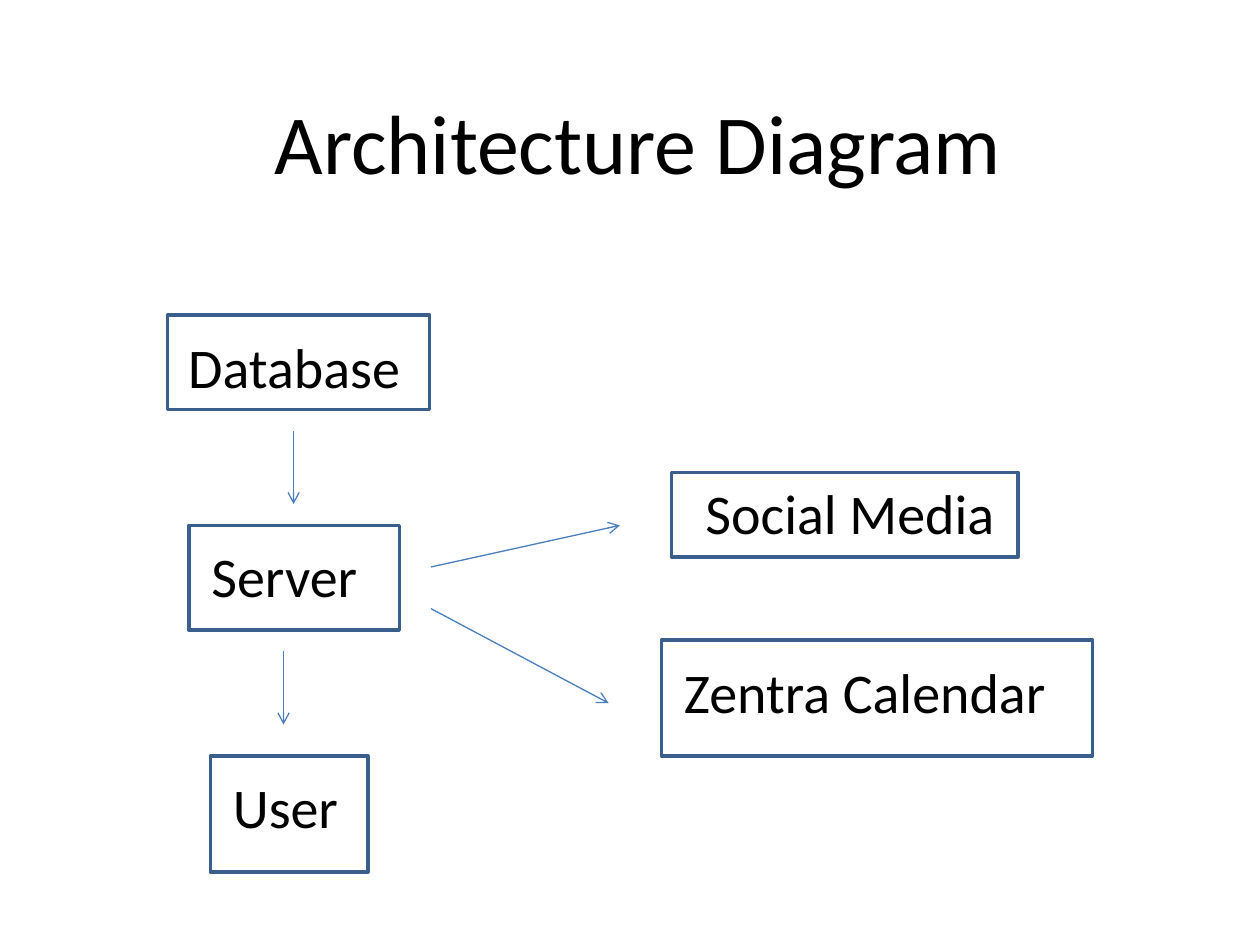
from lxml import etree
from pptx import Presentation
from pptx.dml.color import RGBColor
from pptx.enum.shapes import MSO_CONNECTOR, MSO_SHAPE
from pptx.enum.text import MSO_ANCHOR, PP_ALIGN
from pptx.oxml.ns import qn
from pptx.util import Inches, Pt

STRAIGHT = MSO_CONNECTOR.STRAIGHT
RECTANGLE = MSO_SHAPE.RECTANGLE
TOP, MIDDLE = MSO_ANCHOR.TOP, MSO_ANCHOR.MIDDLE
LEFT, CENTER = PP_ALIGN.LEFT, PP_ALIGN.CENTER

FONT = "Calibri"
TEXT_COLOR = "000000"
BORDER_COLOR = "3A5F8C"
ARROW_COLOR = "4B7EBC"

NODES = [
    ("Database", (1.33, 2.5, 2.08, 0.75), (0.75, 2.42, 3.17, 0.97), CENTER, MIDDLE),
    ("Server", (1.5, 4.17, 1.67, 0.83), (1.58, 4.25, 1.5, 0.75), LEFT, TOP),
    ("User", (1.67, 6, 1.25, 0.92), (1.75, 6.08, 1.04, 0.64), LEFT, TOP),
    ("Social Media", (5.33, 3.75, 2.75, 0.67), (5.5, 3.75, 2.58, 0.64), LEFT, TOP),
    ("Zentra Calendar", (5.25, 5.08, 3.42, 0.92), (5.33, 5.17, 3.23, 0.64), LEFT, TOP),
]
ARROWS = [
    ((2.33, 3.42), (2.33, 4)),
    ((2.25, 5.17), (2.25, 5.75)),
    ((3.42, 4.5), (4.92, 4.17)),
    ((3.42, 4.83), (4.83, 5.58)),
]


def color(value):
    return RGBColor.from_string(value)


def inches(values):
    return [Inches(value) for value in values]


def write_text(frame, text, size, align=LEFT, anchor=TOP):
    frame.word_wrap = True
    frame.vertical_anchor = anchor
    para = frame.paragraphs[0]
    para.alignment = align
    span = para.add_run()
    span.text = text
    span.font.name = FONT
    span.font.size = Pt(size)
    span.font.color.rgb = color(TEXT_COLOR)


def add_heading(page, box, text):
    title = page.shapes.title
    title.left, title.top, title.width, title.height = inches(box)
    write_text(title.text_frame, text, 48)


def add_node(page, box, label_box, text, align, anchor):
    frame = page.shapes.add_shape(RECTANGLE, *inches(box))
    frame.shadow.inherit = False
    frame.fill.background()
    frame.line.color.rgb = color(BORDER_COLOR)
    frame.line.width = Pt(2)
    label = page.shapes.add_textbox(*inches(label_box))
    write_text(label.text_frame, text, 32, align, anchor)


def add_arrow(page, start, end):
    arrow = page.shapes.add_connector(STRAIGHT, *inches(start + end))
    arrow.line.color.rgb = color(ARROW_COLOR)
    arrow.line.width = Pt(0.75)
    etree.SubElement(arrow.line._get_or_add_ln(), qn("a:tailEnd"), type="arrow")
    etree.SubElement(arrow._element.spPr, qn("a:effectLst"))


def add_diagram(page):
    for text, box, label_box, align, anchor in NODES:
        add_node(page, box, label_box, text, align, anchor)
    for start, end in ARROWS:
        add_arrow(page, start, end)


def main():
    deck = Presentation()
    deck.slide_width, deck.slide_height = Inches(10), Inches(7.5)
    page = deck.slides.add_slide(deck.slide_layouts.get_by_name("Title Only"))
    add_heading(page, (2.08, 0.67, 6.25, 0.91), "Architecture Diagram")
    add_diagram(page)
    deck.save("out.pptx")


if __name__ == "__main__":
    main()
